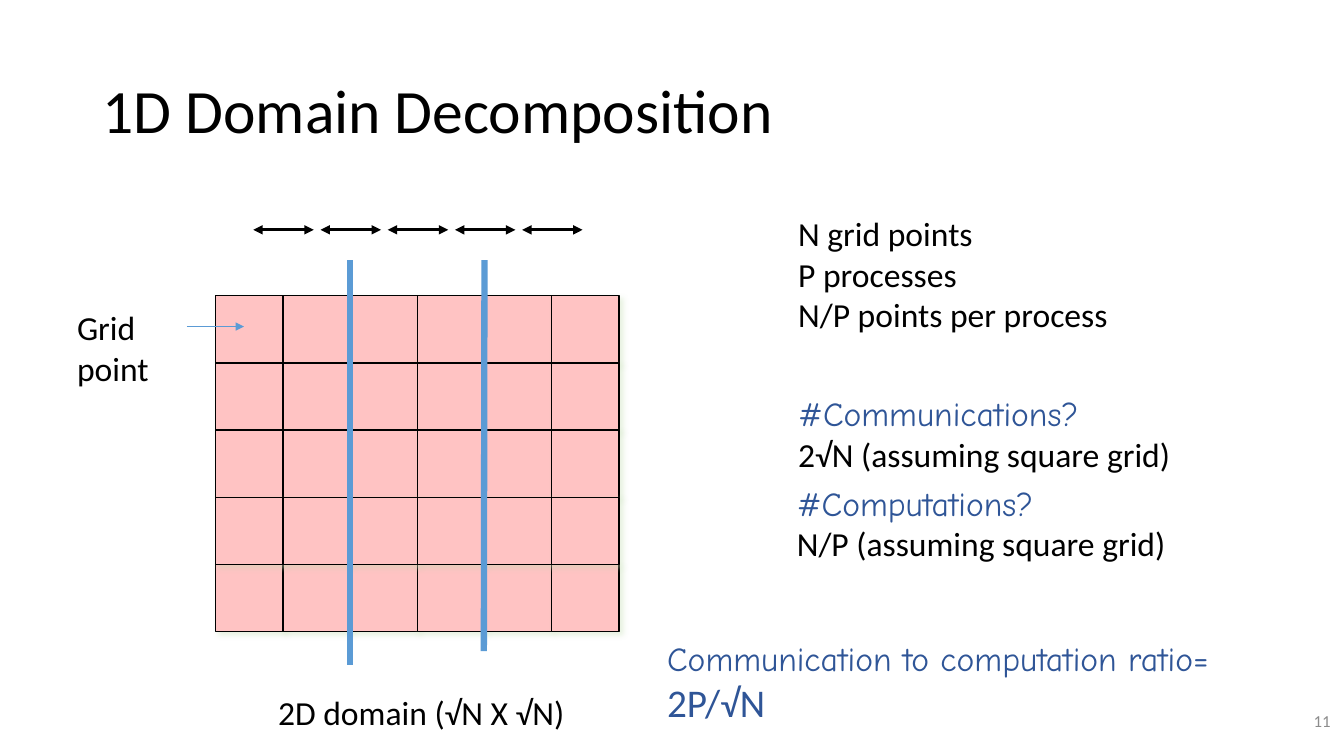
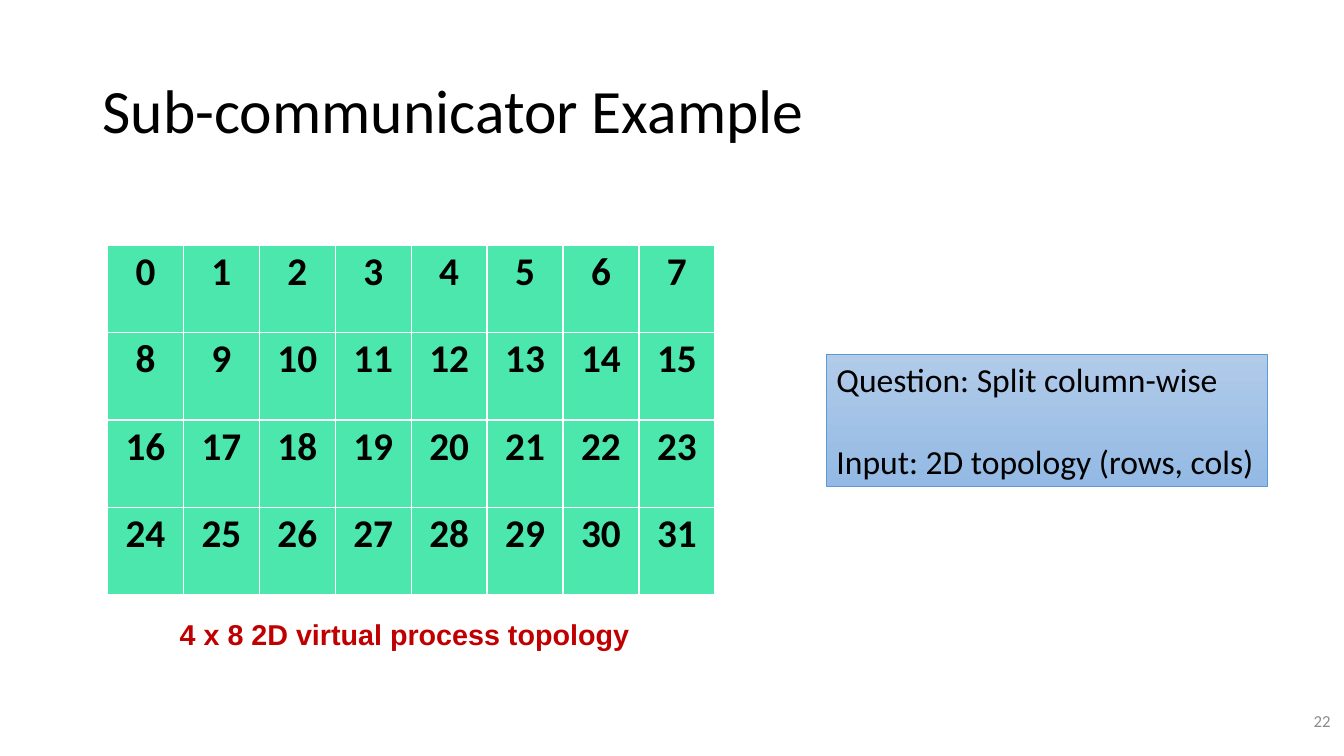
from dataclasses import dataclass

from lxml.etree import SubElement
from pptx import Presentation
from pptx.dml.color import RGBColor
from pptx.enum.shapes import MSO_CONNECTOR, MSO_SHAPE
from pptx.enum.text import MSO_ANCHOR, PP_ALIGN
from pptx.oxml import parse_xml
from pptx.oxml.ns import nsdecls, qn
from pptx.util import Emu, Inches, Pt


# Theme: colours, line widths and text styles
@dataclass(frozen=True)
class Style:
    size: float
    font: str = "Calibri"
    color: str = "000000"
    bold: bool = False


class Theme:
    black, white = "000000", "FFFFFF"
    blue, pink, green = "5B9BD5", "FFC3C3", "4BE7AC"
    glow = "C5E0B4"
    panel = ("B1CBE9", "93B9E4")
    hairline, thin, arrow, cut = 0.5, 1, 2.25, 4.5
    title = Style(44)
    body = Style(24)
    question = Style(24, "Comic Neue", "2F5597")
    result = Style(28, color="2F5597")
    rank = Style(28, bold=True)
    caption = Style(20.5, "Arial", "C00000", True)
    page = Style(12, color="8C8C8C")


# Slide grid: 20 columns of square units; every length below is in units
WIDTH, HEIGHT = Inches(40 / 3), Inches(7.5)
UNIT = WIDTH / 20
TITLE_BOX = (1.38, 0.6, 17.25, 2.17)
PAGE_BOX = (15.45, 10.43, 4.5, 0.6)

# Content of the domain slide
DOMAIN = {"title": "1D Domain Decomposition", "page": "11"}
MESH = {"left": 3.21, "top": 4.4, "cols": 6, "rows": 5}
EXCHANGE = {"inset": 0.56, "y": 3.42, "length": 0.9}
CUTS = [((5.21, 3.87), (5.21, 9.9)), ((7.21, 3.87), (7.2, 9.69))]
POINTER = ((2.78, 4.86), (3.63, 4.86))
DOMAIN_NOTES = [
    ((1, 4.5, 1.82, 1.37), [("Grid point", Theme.body)]),
    ((11.73, 3.1, 4.95, 1.97), [
        ("N grid points", Theme.body),
        ("P processes", Theme.body),
        ("N/P points per process", Theme.body)]),
    ((3.99, 10.23, 4.68, 0.75), [("2D domain (√N X √N)", Theme.body)]),
    ((11.73, 5.78, 5.9, 1.37), [
        ("#Communications?", Theme.question),
        ("2√N (assuming square grid)", Theme.body)]),
    ((11.71, 7.11, 5.84, 1.37), [
        ("#Computations?", Theme.question),
        ("N/P (assuming square grid)", Theme.body)]),
    ((9.78, 9.42, 8.97, 1.47), [
        ("Communication to computation ratio=", Theme.question),
        ("2P/√N", Theme.result)]),
]

# Content of the topology slide
TOPOLOGY = {"title": "Sub-communicator Example", "page": "22"}
RANKS = {"left": 1.6, "top": 3.65, "cols": 8, "rows": 4, "cell": (1.13, 1.3)}
RANKS_CAPTION = ((2.49, 9.1, 7.07, 0.68),
                 [("4 x 8 2D virtual process topology", Theme.caption)])
TASK = ((12.3, 5.27, 6.56, 1.97), [
    ("Question: Split column-wise", Theme.body),
    ("Input: 2D topology (rows, cols)", Theme.body)])
TASK_GAP = 29.3


def units(*lengths):
    return [Emu(round(length * UNIT)) for length in lengths]


def rgb(color):
    return RGBColor.from_string(color)


# Text
def write(frame, lines, align=PP_ALIGN.LEFT, spacing=None, gap=0):
    for i, (text, style) in enumerate(lines):
        paragraph = frame.add_paragraph() if i else frame.paragraphs[0]
        paragraph.alignment = align
        if spacing:
            paragraph.line_spacing = spacing
        if i and gap:
            paragraph.space_before = Pt(gap)
        run = paragraph.add_run()
        run.text = text
        run.font.name = style.font
        run.font.size = Pt(style.size)
        run.font.bold = style.bold
        run.font.color.rgb = rgb(style.color)


def add_text(slide, box, lines, anchor=MSO_ANCHOR.TOP, **layout):
    frame = slide.shapes.add_textbox(*units(*box)).text_frame
    frame.word_wrap = True
    frame.vertical_anchor = anchor
    write(frame, lines, **layout)


# Shapes and lines
def add_box(shapes, box, line_color, line_width):
    rect = shapes.add_shape(MSO_SHAPE.RECTANGLE, *units(*box))
    rect.shadow.inherit = False
    rect.line.color.rgb = rgb(line_color)
    rect.line.width = Pt(line_width)
    return rect


def add_line(slide, start, end, color, width, arrows=()):
    line = slide.shapes.add_connector(
        MSO_CONNECTOR.STRAIGHT, *units(*start, *end))
    line.line.color.rgb = rgb(color)
    line.line.width = Pt(width)
    for arrow in arrows:
        SubElement(line.line._get_or_add_ln(), qn(f"a:{arrow}"), type="triangle")
    SubElement(line._element.spPr, qn("a:effectLst"))


def add_mesh_cell(shapes, col, row):
    cell = add_box(shapes, (MESH["left"] + col, MESH["top"] + row, 1, 1),
                   Theme.black, Theme.thin)
    cell.fill.solid()
    cell.fill.fore_color.rgb = rgb(Theme.pink)
    cell._element.spPr.find(qn("a:effectLst")).append(parse_xml(
        f'<a:outerShdw {nsdecls("a")} blurRad="{Pt(4)}" dist="{Pt(3)}" '
        f'dir="2700000" algn="tl" rotWithShape="0"><a:srgbClr val="{Theme.glow}">'
        '<a:alpha val="40000"/></a:srgbClr></a:outerShdw>'))


def add_rank_table(slide):
    cols, rows = RANKS["cols"], RANKS["rows"]
    col_width, row_height = RANKS["cell"]
    table = slide.shapes.add_table(rows, cols, *units(
        RANKS["left"], RANKS["top"], cols * col_width, rows * row_height)).table
    table.first_row = table.horz_banding = False
    for column in table.columns:
        column.width = units(col_width)[0]
    for row in table.rows:
        row.height = units(row_height)[0]
    for rank, cell in enumerate(table.iter_cells()):
        cell.margin_left = cell.margin_right = Inches(0.06)
        cell.margin_top = cell.margin_bottom = Inches(0.03)
        cell.fill.solid()
        cell.fill.fore_color.rgb = rgb(Theme.green)
        write(cell.text_frame, [(str(rank), Theme.rank)], PP_ALIGN.CENTER)
        for i, side in enumerate("LRTB"):
            cell._tc.get_or_add_tcPr().insert(i, parse_xml(
                f'<a:ln{side} {nsdecls("a")} w="{Pt(Theme.thin)}"><a:solidFill>'
                f'<a:srgbClr val="{Theme.white}"/></a:solidFill></a:ln{side}>'))


# Slides
def add_slide(deck, heading):
    slide = deck.slides.add_slide(deck.slide_layouts[6])
    add_text(slide, TITLE_BOX, [(heading["title"], Theme.title)],
             MSO_ANCHOR.MIDDLE, spacing=0.9)
    add_text(slide, PAGE_BOX, [(heading["page"], Theme.page)],
             MSO_ANCHOR.MIDDLE, align=PP_ALIGN.RIGHT)
    return slide


def build_domain(deck):
    slide = add_slide(deck, DOMAIN)
    mesh = slide.shapes.add_group_shape().shapes
    last = MESH["rows"] - 1
    for row in (last, *range(last)):  # bottom row lies beneath the others
        for col in range(MESH["cols"]):
            add_mesh_cell(mesh, col, row)
    for start, end in CUTS:
        add_line(slide, start, end, Theme.blue, Theme.cut)
    add_line(slide, *POINTER, Theme.blue, Theme.hairline, ["tailEnd"])
    for col in range(MESH["cols"] - 1):
        x, y = MESH["left"] + EXCHANGE["inset"] + col, EXCHANGE["y"]
        add_line(slide, (x, y), (x + EXCHANGE["length"], y),
                 Theme.black, Theme.arrow, ["headEnd", "tailEnd"])
    for box, lines in DOMAIN_NOTES:
        add_text(slide, box, lines)


def build_topology(deck):
    slide = add_slide(deck, TOPOLOGY)
    add_rank_table(slide)
    add_text(slide, *RANKS_CAPTION, align=PP_ALIGN.CENTER)
    box, lines = TASK
    task = add_box(slide.shapes, box, Theme.blue, Theme.hairline)
    task.fill.gradient()
    task.fill.gradient_angle = 270
    for stop, color in zip(task.fill.gradient_stops, Theme.panel):
        stop.color.rgb = rgb(color)
    task.text_frame.word_wrap = True
    task.text_frame.vertical_anchor = MSO_ANCHOR.TOP
    write(task.text_frame, lines, gap=TASK_GAP)


def main():
    deck = Presentation()
    deck.slide_width, deck.slide_height = WIDTH, HEIGHT
    build_domain(deck)
    build_topology(deck)
    deck.save("out.pptx")


if __name__ == "__main__":
    main()
